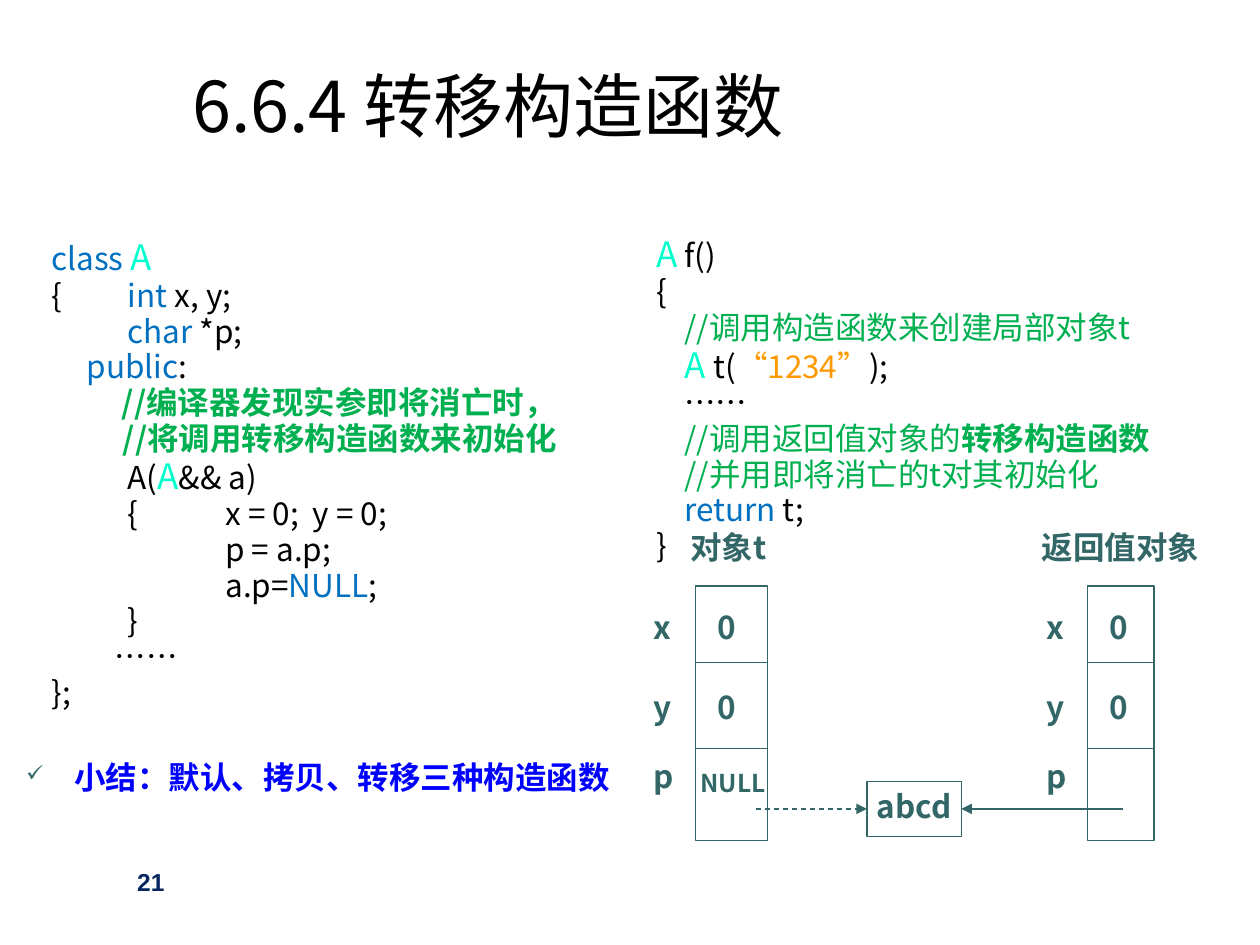
from lxml.etree import SubElement
from pptx import Presentation
from pptx.dml.color import RGBColor
from pptx.enum.dml import MSO_LINE_DASH_STYLE as Dash
from pptx.enum.shapes import MSO_CONNECTOR as Connector, MSO_SHAPE as Shape
from pptx.enum.text import MSO_ANCHOR as Anchor
from pptx.oxml.ns import qn
from pptx.util import Inches, Pt

FONT = "Noto Sans CJK SC"
COLORS = {"black": "000000", "blue": "0070C0", "mint": "00FFCC", "green": "00B050",
          "orange": "FF9900", "teal": "336666", "summary": "0000FF", "navy": "05255E"}
# style: colour, size, bold
STYLES = {
    "plain": ("black", 18, False), "keyword": ("blue", 18, False),
    "type": ("mint", 20, False), "comment": ("green", 18, False),
    "strong": ("green", 18, True), "string": ("orange", 18, False),
    "title": ("black", 40, False), "label": ("teal", 18, True),
    "small": ("teal", 14, True), "summary": ("summary", 18, True),
    "number": ("navy", 14, True),
}

CLASS_CODE = [
    [("class ", "keyword"), ("A", "type")],
    [("{\t    ", "plain"), ("int", "keyword"), (" x, y;", "plain")],
    [("\t    ", "plain"), ("char", "keyword"), (" *p;", "plain")],
    [("     ", "plain"), ("public", "keyword"), (":", "plain")],
    [("          ", "plain"), ("//编译器发现实参即将消亡时，", "strong")],
    [("          //将调用转移构造函数来初始化", "strong")],
    [("\t    A(", "plain"), ("A", "type"), ("&& a)", "plain")],
    [("\t    {\tx = 0;  y = 0;", "plain")],
    [("\t\tp = a.p;", "plain")],
    [("\t\ta.p=", "plain"), ("NULL", "keyword"), (";", "plain")],
    [("\t    }", "plain")],
    [("         ……", "plain")],
    [("};", "plain")],
]
FUNCTION_CODE = [
    [("A", "type"), (" f()", "plain")],
    [("{", "plain")],
    [("    //调用构造函数来创建局部对象t", "comment")],
    [("    ", "plain"), ("A ", "type"), ("t(", "plain"), ("“1234”", "string"), (");", "plain")],
    [("    ……", "plain")],
    [("    //调用返回值对象的", "comment"), ("转移构造函数", "strong")],
    [("    //并用即将消亡的t对其初始化", "comment")],
    [("    ", "plain"), ("return", "keyword"), (" t;", "plain")],
    [("}", "plain")],
]
SUMMARY = [[("小结：默认、拷贝、转移三种构造函数", "summary")]]

# object: heading, heading left and width, box left and width, name left, value left
OBJECTS = [
    ("对象t", 5.38, 0.88, 5.52, 0.57, 5.09, 5.6),
    ("返回值对象", 8.17, 1.49, 8.63, 0.53, 8.21, 8.71),
]
FIELDS = [("x", "0", 4.78), ("y", "0", 5.41), ("p", None, 5.96)]
BOX_TOP, BOX_HEIGHT, DIVIDERS = 4.65, 2.02, (5.26, 5.94)
HEADING_TOP, LABEL_HEIGHT = 4.14, 0.4
TARGET = (6.88, 6.2, 0.75, 0.44)
POINTERS = [(6, 1, Dash.DASH), (8.91, 3, None)]  # start, side of target, dash

deck = Presentation()
deck.slide_width, deck.slide_height = Inches(10), Inches(7.5)
page = deck.slides.add_slide(deck.slide_layouts[6])


def rgb(name):
    return RGBColor.from_string(COLORS[name])


def add_span(para, text, style, font=FONT):
    color, size, bold = STYLES[style]
    span = para.add_run()
    span.text = text
    span.font.size, span.font.bold, span.font.name = Pt(size), bold, font
    span.font.color.rgb = rgb(color)
    SubElement(span.font._element, qn("a:ea")).set("typeface", font)


def add_frame(left, top, width, height):
    frame = page.shapes.add_textbox(*map(Inches, (left, top, width, height))).text_frame
    frame.word_wrap = True
    return frame


def add_label(text, left, top, width, style="label", height=LABEL_HEIGHT, font=FONT):
    frame = add_frame(left, top, width, height)
    add_span(frame.paragraphs[0], text, style, font)
    return frame


def add_lines(lines, area, bullet=None):
    """Set hanging paragraphs, each a list of styled spans."""
    frame = add_frame(*area)
    for index, spans in enumerate(lines):
        para = frame.add_paragraph() if index else frame.paragraphs[0]
        props = para._p.get_or_add_pPr()
        for key, inches in (("marL", 0.38), ("indent", -0.38), ("defTabSz", 1)):
            props.set(key, str(Inches(inches)))
        if bullet:
            color = SubElement(props, qn("a:buClr"))
            SubElement(color, qn("a:srgbClr")).set("val", COLORS["teal"])
            SubElement(props, qn("a:buSzPct")).set("val", "70000")
            SubElement(props, qn("a:buChar")).set("char", bullet)
        para.line_spacing = 0.9
        para.space_before = Pt(1 if index else 0)
        for text, style in spans:
            add_span(para, text, style)


def add_box(left, top, width, height):
    box = page.shapes.add_shape(Shape.RECTANGLE, *map(Inches, (left, top, width, height)))
    box.shadow.inherit = False
    box.fill.background()
    box.line.color.rgb, box.line.width = rgb("teal"), Pt(0.75)
    return box


def add_line(x1, y1, x2, y2):
    line = page.shapes.add_connector(Connector.STRAIGHT, *map(Inches, (x1, y1, x2, y2)))
    line.line.color.rgb, line.line.width = rgb("teal"), Pt(0.75)
    SubElement(line._element.spPr, qn("a:effectLst"))
    return line


add_label("6.6.4 转移构造函数", 1.43, 0, 7.67, "title", 1.66).vertical_anchor = Anchor.MIDDLE
add_lines(CLASS_CODE, (0.31, 1.86, 4.49, 3.77))
add_lines(FUNCTION_CODE, (5.11, 1.83, 4.57, 2.95))
add_lines(SUMMARY, (0.11, 6, 4.93, 0.4), "✓")

for heading, heading_left, heading_width, left, width, name_left, value_left in OBJECTS:
    add_label(heading, heading_left, HEADING_TOP, heading_width)
    add_box(left, BOX_TOP, width, BOX_HEIGHT)
    for y in DIVIDERS:
        add_line(left, y, left + width, y)
    for name, value, top in FIELDS:
        add_label(name, name_left, top, 0.36)
        if value:
            add_label(value, value_left, top, 0.36)
add_label("NULL", 5.46, 6.05, 0.79, "small", 0.34)

target = add_box(*TARGET)
add_label("abcd", 6.86, 6.2, 0.83)
pointer_y = TARGET[1] + TARGET[3] / 2
for start, side, dash in POINTERS:
    pointer = add_line(start, pointer_y, TARGET[0], pointer_y)
    pointer.end_connect(target, side)
    if dash:
        pointer.line.dash_style = dash
    SubElement(pointer.line._get_or_add_ln(), qn("a:tailEnd")).set("type", "triangle")

add_label("21", 0.99, 6.83, 2.08, "number", 0.5, "Arial")
deck.save("out.pptx")
